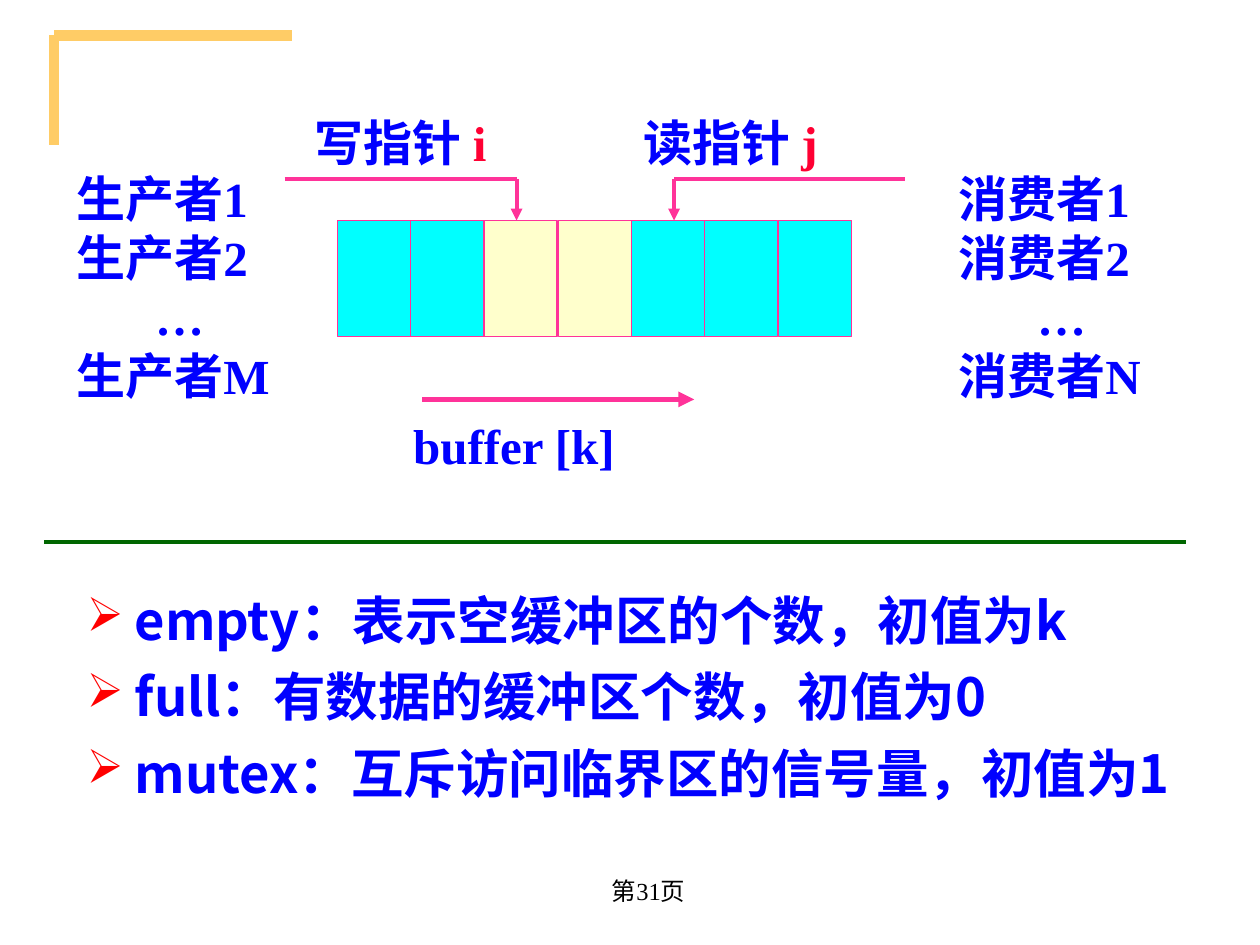
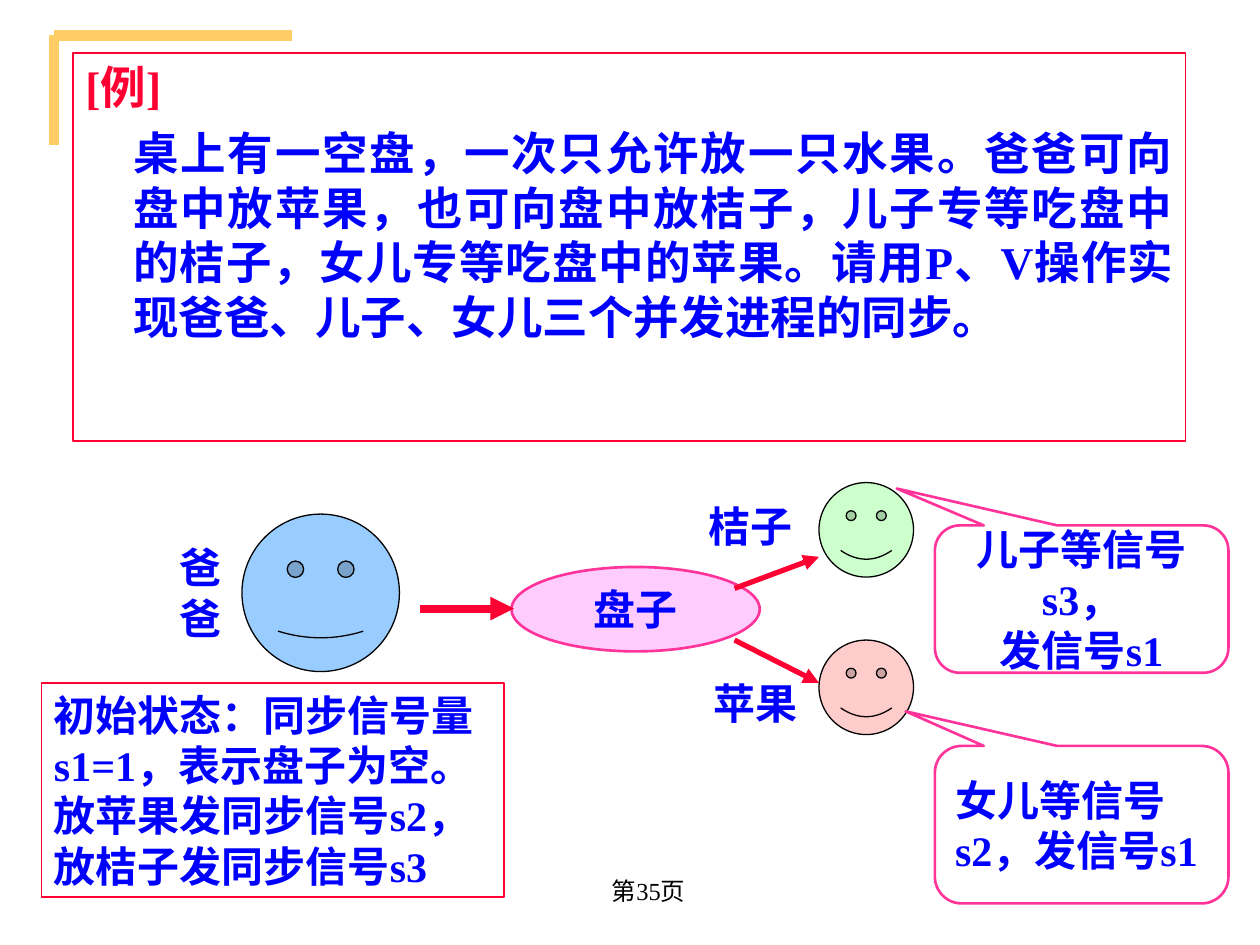
from lxml.etree import SubElement
from pptx import Presentation
from pptx.dml.color import RGBColor
from pptx.enum.shapes import MSO_CONNECTOR, MSO_SHAPE as SHAPE
from pptx.enum.text import MSO_ANCHOR as ANCHOR, PP_ALIGN as ALIGN
from pptx.oxml.ns import qn
from pptx.util import Emu, Pt

PX = 9144
BLUE, RED, PINK, GOLD = "0000FF", "FF0033", "FF3399", "FFCC66"
CYAN, CREAM, GREEN, WHITE, BLACK = "00FFFF", "FFFFCC", "006600", "FFFFFF", "000000"
SERIF, SANS = "Times New Roman", "Noto Sans CJK SC"


def rgb(code):
    return RGBColor.from_string(code)


def emu(*lengths):
    return [Emu(n * PX) for n in lengths]


class Deck:
    def __init__(self):
        self.prs = Presentation()
        self.prs.slide_width, self.prs.slide_height = emu(1000, 750)

    def slide(self, page):
        self.shapes = self.prs.slides.add_slide(self.prs.slide_layouts[6]).shapes
        self.line(43, 28, 232, 28, GOLD, 6)
        self.line(43, 28, 43, 115, GOLD, 6)
        self.text(413, 682, 208, 50, [f"第{page}页 "], 14, BLACK, align=ALIGN.CENTER,
                  anchor=ANCHOR.MIDDLE, bold=False)

    def line(self, x1, y1, x2, y2, color, weight, arrow=False):
        c = self.shapes.add_connector(MSO_CONNECTOR.STRAIGHT, *emu(x1, y1, x2, y2))
        c.line.color.rgb = rgb(color)
        c.line.width = Pt(weight)
        if arrow:
            SubElement(c._element.spPr.find(qn("a:ln")), qn("a:tailEnd"), type="triangle")
        SubElement(c._element.spPr, qn("a:effectLst"))

    def shape(self, kind, x, y, w, h, fill, color, weight=0.75, adjust=()):
        sp = self.shapes.add_shape(kind, *emu(x, y, w, h))
        sp.shadow.inherit = False
        if fill:
            sp.fill.solid()
            sp.fill.fore_color.rgb = rgb(fill)
        else:
            sp.fill.background()
        sp.line.color.rgb = rgb(color)
        sp.line.width = Pt(weight)
        for i, value in enumerate(adjust):
            sp.adjustments[i] = value
        return sp.text_frame

    def text(self, x, y, w, h, lines, size, color=BLUE, **style):
        tf = self.shapes.add_textbox(*emu(x, y, w, h)).text_frame
        return self.fill_text(tf, lines, size, color, **style)

    def fill_text(self, tf, lines, size, color=BLUE, align=ALIGN.LEFT, anchor=ANCHOR.TOP,
                  font=SERIF, bold=True, wrap=True, gap=0):
        tf.word_wrap = wrap
        tf.vertical_anchor = anchor
        tf.text = "\n".join(lines)
        for i, p in enumerate(tf.paragraphs):
            p.alignment = align
            if i and gap:
                p.space_before = Pt(gap)
            for r in p.runs:
                self.style(r, size, color, font, bold)
        return tf

    def style(self, r, size, color, font=SERIF, bold=True):
        r.font.size = Pt(size)
        r.font.bold = bold
        r.font.color.rgb = rgb(color)
        r.font.name = font
        SubElement(r._r.get_or_add_rPr(), qn("a:ea"), typeface=SANS)

    def indent(self, p, left, first=0):
        pPr = p._p.get_or_add_pPr()
        pPr.set("marL", str(left * PX))
        pPr.set("indent", str(first * PX))
        return pPr

    def bullet(self, p):
        pPr = self.indent(p, 38, -38)
        clr = SubElement(pPr, qn("a:buClr"))
        SubElement(clr, qn("a:srgbClr"), val="FF0000")
        SubElement(pPr, qn("a:buSzPct"), val="90000")
        SubElement(pPr, qn("a:buChar"), char="➢")

    def pointer(self, text_x, label, index, align, tip_x, end_x):
        tf = self.text(text_x, 84, 250, 57, [label], 28, align=align)
        r = tf.paragraphs[0].add_run()
        r.text = index
        self.style(r, 28, RED)
        self.line(end_x, 142, tip_x, 142, PINK, 2.25)
        self.line(tip_x, 142, tip_x, 175, PINK, 2.25, arrow=True)

    def processes(self, x, role, last):
        lines = [f"{role}1", f"{role}2", "…", f"{role}{last}"]
        tf = self.text(x, 129, 183, 197, lines, 28)
        tf.paragraphs[2].alignment = ALIGN.CENTER

    def callout(self, y, h, tip, lines, align):
        tf = self.shape(SHAPE.ROUNDED_RECTANGULAR_CALLOUT, 742, y, 233, h, WHITE, PINK, 1.5,
                        (*tip, 0.17))
        self.fill_text(tf, lines, 24, align=align, anchor=ANCHOR.MIDDLE)


def buffer_slide(deck):
    deck.slide(31)
    tf = deck.text(59, 462, 906, 222, [
        "empty：表示空缓冲区的个数，初值为k",
        "full：有数据的缓冲区个数，初值为0",
        "mutex：互斥访问临界区的信号量，初值为1",
    ], 30, align=ALIGN.JUSTIFY, font=SANS, gap=7.5)
    for p in tf.paragraphs:
        deck.bullet(p)

    for i in range(7):
        fill = CREAM if i in (2, 3) else CYAN
        deck.shape(SHAPE.RECTANGLE, 268 + i * 175 // 3, 175, 58, 92, fill, PINK)
    deck.processes(51, "生产者", "M")
    deck.processes(751, "消费者", "N")
    deck.pointer(193, "写指针 ", "i", ALIGN.CENTER, 410, 226)
    deck.pointer(501, "读指针 ", "j", ALIGN.LEFT, 535, 718)
    deck.line(335, 317, 551, 317, PINK, 3, arrow=True)
    deck.text(318, 325, 258, 57, ["buffer [k]"], 28)
    deck.line(35, 430, 941, 430, GREEN, 2.25)


def fruit_slide(deck):
    deck.slide(35)
    tf = deck.shape(SHAPE.RECTANGLE, 58, 42, 883, 308, None, RED)
    deck.fill_text(tf, [
        "[例]",
        "桌上有一空盘，一次只允许放一只水果。爸爸可向盘中放苹果，也可向盘中放桔子，"
        "儿子专等吃盘中的桔子，女儿专等吃盘中的苹果。请用P、V操作实现爸爸、儿子、"
        "女儿三个并发进程的同步。",
    ], 26, align=ALIGN.JUSTIFY, gap=6.5)
    heading, story = tf.paragraphs
    heading.runs[0].font.color.rgb = rgb(RED)
    deck.indent(story, 38)

    plate = deck.shape(SHAPE.OVAL, 406, 450, 197, 67, "FFCCFF", PINK, 1.5)
    deck.fill_text(plate, ["盘子"], 24, align=ALIGN.CENTER, anchor=ANCHOR.MIDDLE, wrap=False)
    for x, y, size, fill, smile in [(192, 408, 125, "99CCFF", 0.021),
                                    (650, 383, 75, "CCFFCC", 0.093),
                                    (650, 508, 75, "FFCCCC", 0.093)]:
        deck.shape(SHAPE.SMILEY_FACE, x, y, size, size, fill, BLACK, adjust=[smile])
    for x1, y1, x2, y2, weight in [(333, 483, 408, 483, 4.5),
                                   (583, 467, 650, 442, 3),
                                   (583, 508, 650, 542, 3)]:
        deck.line(x1, y1, x2, y2, RED, weight, arrow=True)
    for x, y, w, h, label in [(133, 425, 50, 90, "爸爸"),
                              (550, 533, 100, 50, "苹果"),
                              (550, 392, 92, 50, "桔子")]:
        deck.text(x, y, w, h, [label], 24, align=ALIGN.CENTER)

    state = deck.shape(SHAPE.RECTANGLE, 33, 542, 367, 170, WHITE, RED)
    deck.fill_text(state, ["初始状态：同步信号量s1=1，表示盘子为空。"
                           "放苹果发同步信号s2，放桔子发同步信号s3"], 24)
    deck.callout(417, 117, (-0.63, -0.75), ["儿子等信号s3，", "发信号s1"], ALIGN.CENTER)
    deck.callout(592, 125, (-0.6, -0.72), ["女儿等信号s2，发信号s1"], ALIGN.LEFT)


def main():
    deck = Deck()
    buffer_slide(deck)
    fruit_slide(deck)
    deck.prs.save("out.pptx")


if __name__ == "__main__":
    main()
